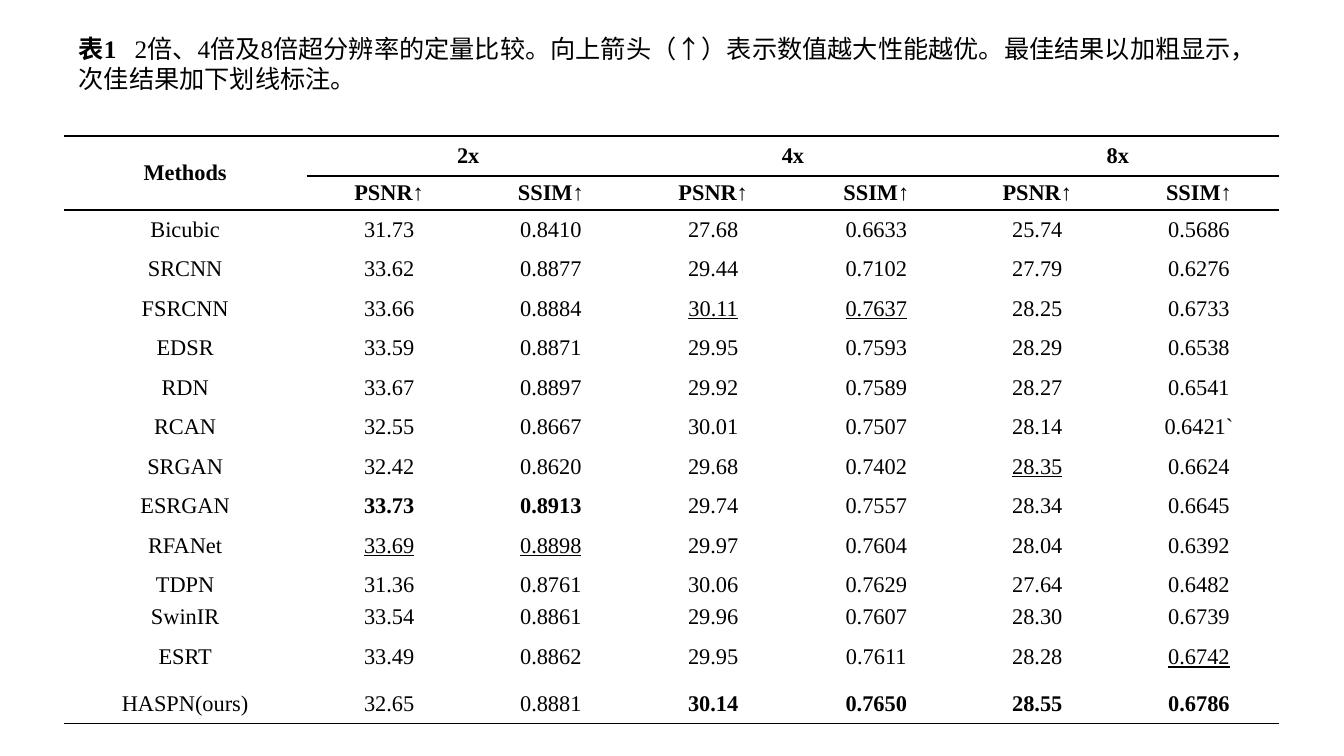
from dataclasses import dataclass

import lxml.etree
import pptx
import pptx.dml.color
import pptx.enum.text
import pptx.oxml.ns
import pptx.util

Pt = pptx.util.Pt
qn = pptx.oxml.ns.qn
ALIGN = pptx.enum.text.PP_ALIGN
ANCHOR = pptx.enum.text.MSO_ANCHOR


@dataclass
class Theme:
    font: str = "Times New Roman"
    ink: str = "000000"
    paper: str = "FFFFFF"
    caption: int = 18
    body: int = 16
    rule: float = 1.5


LABEL = "表1"
CAPTION = ("2倍、4倍及8倍超分辨率的定量比较。向上箭头（↑）表示数值越大性能越优。"
           "最佳结果以加粗显示，次佳结果加下划线标注。")
SCALES = ["2x", "4x", "8x"]
METRICS = ["PSNR↑", "SSIM↑"]
# A leading * marks the best result, a leading _ the second best.
RESULTS = """
Bicubic 31.73 0.8410 27.68 0.6633 25.74 0.5686
SRCNN 33.62 0.8877 29.44 0.7102 27.79 0.6276
FSRCNN 33.66 0.8884 _30.11 _0.7637 28.25 0.6733
EDSR 33.59 0.8871 29.95 0.7593 28.29 0.6538
RDN 33.67 0.8897 29.92 0.7589 28.27 0.6541
RCAN 32.55 0.8667 30.01 0.7507 28.14 0.6421`
SRGAN 32.42 0.8620 29.68 0.7402 _28.35 0.6624
ESRGAN *33.73 *0.8913 29.74 0.7557 28.34 0.6645
RFANet _33.69 _0.8898 29.97 0.7604 28.04 0.6392
TDPN 31.36 0.8761 30.06 0.7629 27.64 0.6482
SwinIR 33.54 0.8861 29.96 0.7607 28.30 0.6739
ESRT 33.49 0.8862 29.95 0.7611 28.28 _0.6742
HASPN(ours) 32.65 0.8881 *30.14 *0.7650 *28.55 *0.6786
"""
TOP_ANCHORED = {"SwinIR", "ESRT"}
COL_WIDTHS = [173.5, 118, 113, 119, 114, 116, 115]
HEADER_HEIGHTS = [28.5, 24.3]
ROW_HEIGHT = 28.24


class Deck:
    def __init__(self, theme):
        self.theme = theme
        self.prs = pptx.Presentation()
        self.prs.slide_width, self.prs.slide_height = Pt(960), Pt(540)
        self.s = self.prs.slides.add_slide(self.prs.slide_layouts[5])

    def run(self, p, text, size, bold=False, underline=False):
        r = p.add_run()
        r.text = text
        style = {"name": self.theme.font, "size": Pt(size), "bold": bold, "underline": underline}
        for name, value in style.items():
            setattr(r.font, name, value)
        r.font.color.rgb = pptx.dml.color.RGBColor.from_string(self.theme.ink)

    def caption(self, label, text, x, y, w, h, tab):
        """Fill the title with a bold label, then the text from the tab stop on."""
        sp = self.s.shapes.title
        sp.left, sp.top, sp.width, sp.height = Pt(x), Pt(y), Pt(w), Pt(h)
        tf = sp.text_frame
        frame = {"word_wrap": True, "vertical_anchor": ANCHOR.TOP,
                 "auto_size": pptx.enum.text.MSO_AUTO_SIZE.NONE}
        for name, value in frame.items():
            setattr(tf, name, value)
        p = tf.paragraphs[0]
        p.alignment = ALIGN.LEFT
        tabs = lxml.etree.SubElement(p._p.get_or_add_pPr(), qn("a:tabLst"))
        lxml.etree.SubElement(tabs, qn("a:tab"), pos=str(Pt(tab)), algn="l")
        self.run(p, label, self.theme.caption, bold=True)
        self.run(p, "\t" + text, self.theme.caption)

    def borders(self, cell, sides):
        """Rule the named sides (T, B) and clear the others."""
        tc_pr = cell._tc.get_or_add_tcPr()
        for side in "LRTB":
            ln = lxml.etree.SubElement(tc_pr, qn("a:ln" + side), w=str(Pt(self.theme.rule)))
            if side in sides:
                fill = lxml.etree.SubElement(ln, qn("a:solidFill"))
                lxml.etree.SubElement(fill, qn("a:srgbClr"), val=self.theme.ink)
            else:
                lxml.etree.SubElement(ln, qn("a:noFill"))

    def cell(self, cell, text, sides, bold, anchor):
        self.borders(cell, sides)
        cell.fill.solid()
        cell.fill.fore_color.rgb = pptx.dml.color.RGBColor.from_string(self.theme.paper)
        layout = {"vertical_anchor": anchor, "margin_left": Pt(5), "margin_right": Pt(5),
                  "margin_top": 0, "margin_bottom": 0}
        for name, value in layout.items():
            setattr(cell, name, value)
        if text:
            p = cell.text_frame.paragraphs[0]
            p.alignment = ALIGN.CENTER
            self.run(p, text.lstrip("*_"), self.theme.body,
                     bold or text.startswith("*"), text.startswith("_"))

    def table(self, rows, x, y, widths, heights, header_rows):
        """Draw rows ruled above and below each header row and at the foot."""
        shape = self.s.shapes.add_table(len(rows), len(widths), Pt(x), Pt(y),
                                        Pt(sum(widths)), Pt(sum(heights)))
        table = shape.table
        table.first_row = table.horz_banding = False
        for col, width in zip(table.columns, widths):
            col.width = Pt(width)
        for row, height in zip(table.rows, heights):
            row.height = Pt(height)
        table.cell(0, 0).merge(table.cell(header_rows - 1, 0))
        for c in range(1, len(widths), len(METRICS)):
            table.cell(0, c).merge(table.cell(0, c + len(METRICS) - 1))
        ruled = {*range(header_rows + 1), len(rows)}
        for i, row in enumerate(rows):
            anchor = ANCHOR.TOP if row[0] in TOP_ANCHORED else ANCHOR.MIDDLE
            for j, text in enumerate(row):
                inside_methods = j == 0 and 0 < i < header_rows
                sides = "T" if i in ruled and not inside_methods else ""
                sides += "B" if i + 1 in ruled else ""
                self.cell(table.cell(i, j), text, sides, i < header_rows, anchor)


def main():
    deck = Deck(Theme())
    deck.caption(LABEL, CAPTION, x=49, y=20, w=865.5, h=71, tab=40)
    scale_row = ["Methods"]
    for scale in SCALES:
        scale_row += [scale] + [""] * (len(METRICS) - 1)
    headers = [scale_row, [""] + METRICS * len(SCALES)]
    results = [line.split() for line in RESULTS.strip().splitlines()]
    heights = HEADER_HEIGHTS + [ROW_HEIGHT] * len(results)
    deck.table(headers + results, 45.5, 97, COL_WIDTHS, heights, len(headers))
    deck.prs.save("out.pptx")


if __name__ == "__main__":
    main()
